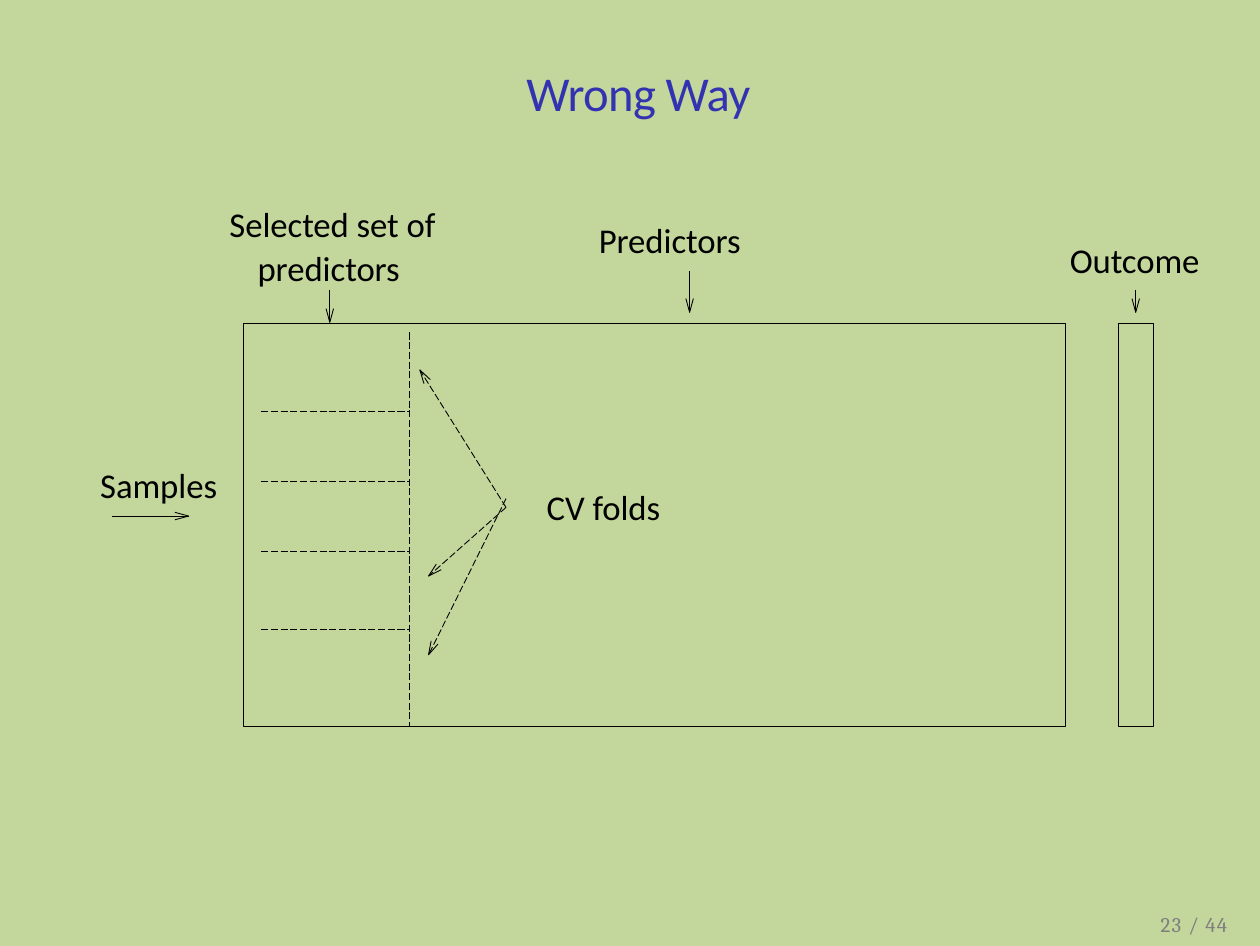
import math

from pptx import Presentation, util as u
from pptx.dml.color import RGBColor
from pptx.enum import dml, shapes, text
from pptx.oxml.ns import qn
from lxml import etree

WIDTH, HEIGHT = u.Pt(363), u.Pt(272.5)
CELL = u.Inches(0.01)
GREEN = RGBColor(0xC3, 0xD6, 0x9B)
INDIGO = RGBColor(0x33, 0x33, 0xB2)
BLACK = RGBColor(0, 0, 0)
GREY = RGBColor(0x7F, 0x7F, 0x7F)


def cells(*counts):
    return [round(count * CELL) for count in counts]


def style_line(line, dashed=False):
    line.color.rgb = BLACK
    line.width = u.Pt(0.25)
    if dashed:
        line.dash_style = dml.MSO_LINE.LONG_DASH


def add_text(page, box, words, size=10, color=BLACK, font="Calibri",
             align=text.PP_ALIGN.CENTER, leading=None, tracking=0, indent=0):
    frame = page.shapes.add_textbox(*cells(*box)).text_frame
    frame.word_wrap = True
    frame.margin_left = frame.margin_right = frame.margin_bottom = 0
    frame.margin_top = u.Inches(0.02)
    para = frame.paragraphs[0]
    para.text = words
    para.alignment = align
    if leading:
        para.line_spacing = leading
    if indent:
        para._p.get_or_add_pPr().set("indent", str(cells(indent)[0]))
    for span in para.runs:
        span.font.name, span.font.size = font, u.Pt(size)
        span.font.color.rgb = color
        if tracking:
            span._r.get_or_add_rPr().set("spc", str(tracking))


def add_line(page, start, end, dashed=False):
    line = page.shapes.add_connector(
        shapes.MSO_CONNECTOR.STRAIGHT, *cells(*start, *end))
    style_line(line.line, dashed)
    etree.SubElement(line._element.spPr, qn("a:effectLst"))


def add_arrow(page, start, end, dashed=False):
    """Draw a shaft with an open head, 5.5 cells long and 3 cells wide."""
    add_line(page, start, end, dashed)
    angle = math.atan2(end[1] - start[1], end[0] - start[0])
    along, across = (math.cos(angle), math.sin(angle)), (-math.sin(angle), math.cos(angle))
    barbs = [tuple(tip - 5.5 * a + side * c for tip, a, c in zip(end, along, across))
             for side in (-1.5, 1.5)]
    builder = page.shapes.build_freeform(*cells(*barbs[0]))
    builder.add_line_segments([cells(*end), cells(*barbs[1])], close=False)
    head = builder.convert_to_shape()
    head.fill.background()
    head.shadow.inherit = False
    style_line(head.line)


def add_frame(page, box):
    frame = page.shapes.add_shape(shapes.MSO_SHAPE.RECTANGLE, *cells(*box))
    frame.fill.background()
    frame.shadow.inherit = False
    style_line(frame.line)


def add_fold_panel(page, box):
    """Split the selected predictors into folds and point at three of them."""
    left, top, width, height = box
    right = left + width
    add_line(page, (right, top + 3.5), (right, top + height), dashed=True)
    for row in (35, 63, 91, 122.5):
        add_line(page, (left + 7, top + row), (right, top + row), dashed=True)
    for origin, column, row in ((73.5, 4, 18.5), (73.5, 7.5, 101), (70, 7.5, 132.5)):
        add_arrow(page, (right + 38.5, top + origin), (right + column, top + row), dashed=True)
    add_text(page, (right + 45.5, top + 63, 64, 18), "CV folds")


def add_predictors(page, box):
    left, top, width, height = box
    add_frame(page, box)
    add_fold_panel(page, (left, top, 66.5, height))
    add_text(page, (left - 20, top - 51, 108, 36), "Selected set of predictors",
             leading=1.05, indent=3)
    add_arrow(page, (left + 34.5, top - 13.5), (left + 34.5, top - 0.5))
    add_text(page, (left + 138.5, top - 44, 64, 18), "Predictors")
    add_arrow(page, (left + 178.5, top - 21), (left + 178.5, top - 4.5))
    add_text(page, (left - 60.5, top + 54, 53, 18), "Samples")
    add_arrow(page, (left - 52.5, top + 77), (left - 22, top + 77))


def add_outcome(page, box):
    left, top, width, height = box
    center = left + width / 2
    add_frame(page, box)
    add_text(page, (center - 30.5, top - 36, 60, 18), "Outcome")
    add_arrow(page, (center, top - 13.5), (center, top - 4.5))


def main():
    deck = Presentation()
    deck.slide_width, deck.slide_height = WIDTH, HEIGHT
    page = deck.slides.add_slide(deck.slide_layouts[6])
    page.background.fill.solid()
    page.background.fill.fore_color.rgb = GREEN
    add_text(page, (203, 23, 105, 25), "Wrong Way", size=14, color=INDIGO, tracking=-20)
    add_predictors(page, (97.5, 129.5, 329, 161))
    add_outcome(page, (447.5, 129.5, 14, 161))
    add_text(page, (464.5, 363.5, 34, 11), "23 / 44", size=6, color=GREY, font="Cambria",
             align=text.PP_ALIGN.LEFT, leading=u.Pt(6.7), tracking=35)
    deck.save("out.pptx")


if __name__ == "__main__":
    main()
